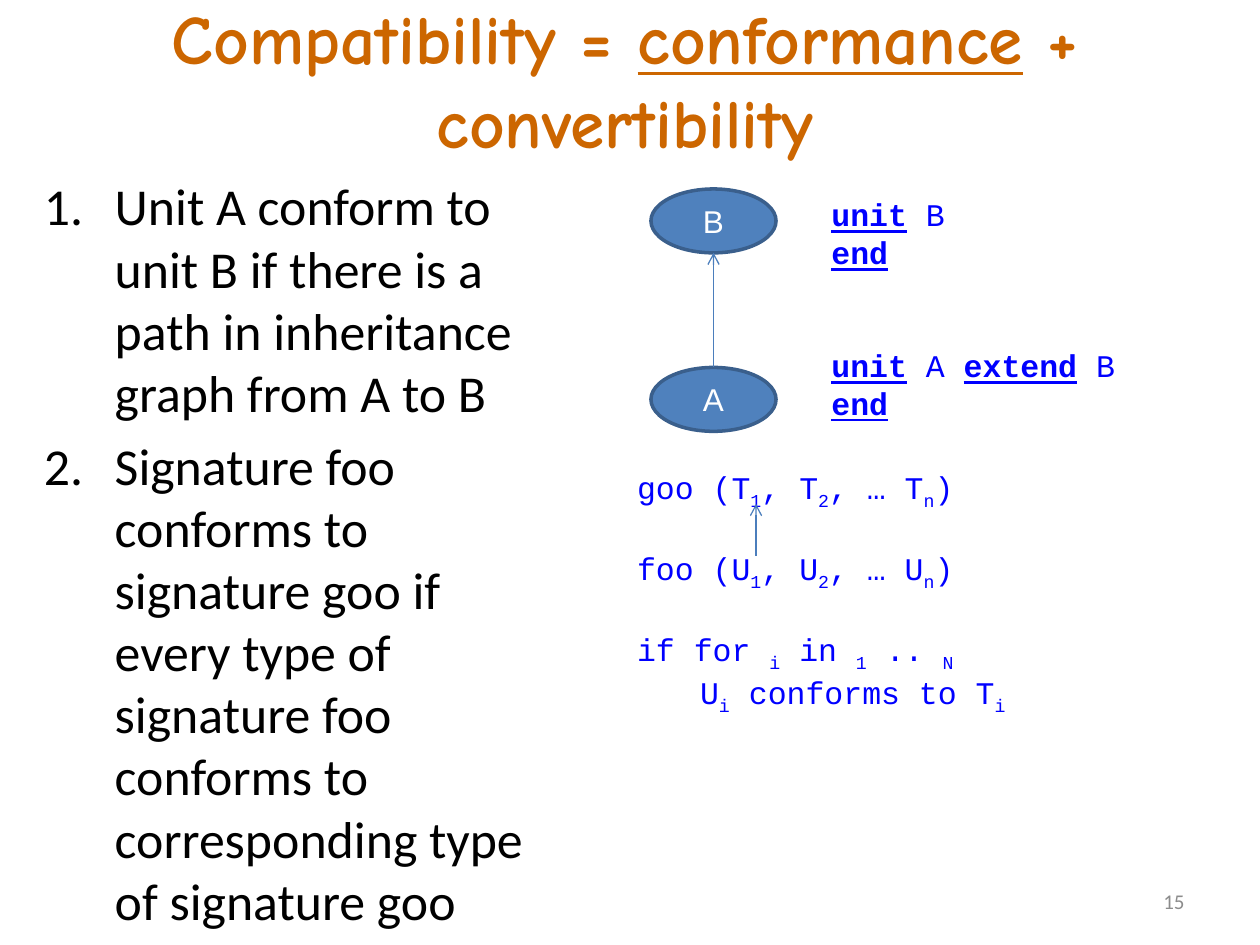
from pptx import Presentation
from pptx.dml.color import RGBColor
from pptx.enum.shapes import MSO_CONNECTOR as CONNECTOR, MSO_SHAPE as SHAPE
from pptx.enum.text import MSO_ANCHOR as ANCHOR, PP_ALIGN as ALIGN
from pptx.oxml.ns import qn
from pptx.util import Pt
from lxml.etree import SubElement

COLORS = {
    "title": "CC6600", "body": "000000", "code": "0000FF", "number": "8C8C8C",
    "node": "4F81BD", "node_edge": "3A5F8C", "node_text": "FFFFFF", "arrow": "4B7EBC",
}
KEYWORD = {"bold": True, "underline": True}
SUBSCRIPT = {"baseline": -25000}


def rgb(name):
    return RGBColor.from_string(COLORS[name])


def write(paragraph, text, font, size, color, bold=False, marked=None,
          align=ALIGN.LEFT, before=0):
    """Fill a paragraph; the parts between bars also get the marked format."""
    paragraph.alignment = align
    paragraph.space_before = Pt(before)
    for index, part in enumerate(text.split("|")):
        if not part:
            continue
        extra = dict(marked) if index % 2 else {}
        run = paragraph.add_run()
        run.text = part
        run.font.name, run.font.size = font, Pt(size)
        run.font.color.rgb = rgb(color)
        run.font.bold = extra.get("bold", bold)
        run.font.underline = extra.get("underline", False)
        if "baseline" in extra:
            run.font._element.set("baseline", str(extra["baseline"]))


class SlideBuilder:
    def __init__(self, slide):
        self.shapes = slide.shapes

    def text(self, box, lines, anchor=ANCHOR.TOP, gaps=None, **style):
        """Add a text box; gaps maps a line's index to the space before it."""
        frame = self.shapes.add_textbox(*map(Pt, box)).text_frame
        frame.word_wrap = True
        frame.vertical_anchor = anchor
        for index, line in enumerate(lines):
            paragraph = frame.paragraphs[0] if index == 0 else frame.add_paragraph()
            write(paragraph, line, before=(gaps or {}).get(index, 0), **style)
        return frame

    def code(self, box, lines, marked, gaps):
        self.text(box, lines, gaps=gaps, marked=marked,
                  font="Courier New", size=18, color="code")

    def numbered(self, box, items, indent, gap, **style):
        frame = self.text(box, items, gaps=dict.fromkeys(range(len(items)), gap), **style)
        for paragraph in frame.paragraphs:
            properties = paragraph._p.get_or_add_pPr()
            properties.set("marL", str(Pt(indent)))
            properties.set("indent", str(-Pt(indent)))
            SubElement(properties, qn("a:buAutoNum"), type="arabicPeriod")

    def node(self, box, label):
        ellipse = self.shapes.add_shape(SHAPE.OVAL, *map(Pt, box))
        ellipse.shadow.inherit = False
        ellipse.fill.solid()
        ellipse.fill.fore_color.rgb = rgb("node")
        ellipse.line.color.rgb = rgb("node_edge")
        ellipse.line.width = Pt(2)
        ellipse.text_frame.vertical_anchor = ANCHOR.MIDDLE
        write(ellipse.text_frame.paragraphs[0], label, font="Arial", size=18,
              color="node_text", align=ALIGN.CENTER)

    def up_arrow(self, x, bottom, top):
        arrow = self.shapes.add_connector(
            CONNECTOR.STRAIGHT, Pt(x), Pt(bottom), Pt(x), Pt(top))
        arrow.line.color.rgb = rgb("arrow")
        arrow.line.width = Pt(0.75)
        SubElement(arrow.line._get_or_add_ln(), qn("a:tailEnd"), type="arrow")
        SubElement(arrow._element.spPr, qn("a:effectLst"))


def main():
    deck = Presentation()
    deck.slide_width, deck.slide_height = Pt(720), Pt(540)
    page = SlideBuilder(deck.slides.add_slide(deck.slide_layouts[6]))

    page.text((6, 6, 702, 78), ["Compatibility = |conformance| + convertibility"],
              anchor=ANCHOR.MIDDLE, font="Comic Neue", size=39.6, color="title",
              bold=True, marked={"underline": True}, align=ALIGN.CENTER)
    page.numbered((18, 96, 299.5, 440), [
        "Unit A conform to unit B if there is a path in inheritance graph from A to B",
        "Signature foo conforms to signature goo if every type of signature foo "
        "conforms to corresponding type of signature goo",
    ], indent=40.5, gap=6, font="Calibri", size=29.6, color="body")

    node_left, node_width, node_height = 372, 71.5, 36.5
    parent_top, child_top = 108, 210
    for label, top in (("B", parent_top), ("A", child_top)):
        page.node((node_left, top, node_width, node_height), label)
    page.up_arrow(node_left + node_width / 2, child_top, parent_top + node_height)

    page.code((468, parent_top, 239, 138),
              ["|unit| B", "|end|", "|unit| A |extend| B", "|end|"],
              marked=KEYWORD, gaps={2: 43})
    page.code((357, 264, 285, 138), [
        "goo (T|1|, T|2|, … T|n|)",
        "foo (U|1|, U|2|, … U|n|)",
        "if for |i| in |1| .. |N|",
        "\tU|i| conforms to T|i|",
    ], marked=SUBSCRIPT, gaps={1: 21.7, 2: 21.7})
    page.up_arrow(432, 317.5, 288)

    page.text((516, 500.5, 168, 28.75), ["15"], anchor=ANCHOR.MIDDLE,
              font="Calibri", size=12, color="number", align=ALIGN.RIGHT)
    deck.save("out.pptx")


if __name__ == "__main__":
    main()
